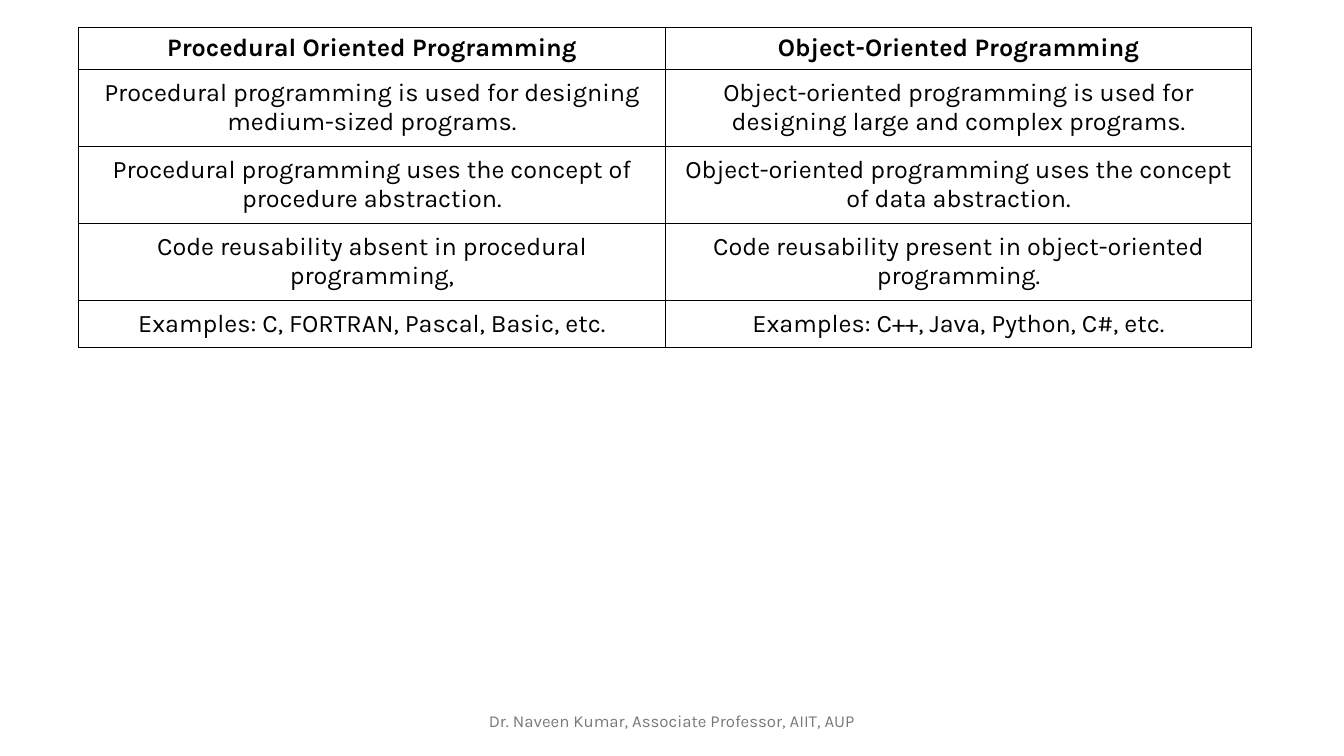
from lxml.etree import SubElement
from pptx import Presentation
from pptx.dml.color import RGBColor
from pptx.enum.text import MSO_ANCHOR, PP_ALIGN
from pptx.oxml.ns import qn
from pptx.util import Pt

ROWS = [
    ("Procedural Oriented Programming", "Object-Oriented Programming"),
    ("Procedural programming is used for designing medium-sized programs.",
     "Object-oriented programming is used for designing large and complex programs."),
    ("Procedural programming uses the concept of procedure abstraction.",
     "Object-oriented programming uses the concept of data abstraction."),
    ("Code reusability absent in procedural programming,",
     "Code reusability present in object-oriented programming."),
    ("Examples: C, FORTRAN, Pascal, Basic, etc.",
     "Examples: C++, Java, Python, C#, etc."),
]
FOOT = "Dr. Naveen Kumar, Associate Professor, AIIT, AUP"
TALL = [30, 54.7, 54.7, 54.7, 34]
WIDE = 419
BLACK, GREY, WHITE = "000000", "797979", "FFFFFF"


def tint(fill, code):
    fill.solid()
    fill.fore_color.rgb = RGBColor.from_string(code)


def write(frame, text, size, code, bold=False):
    frame.text = text
    line = frame.paragraphs[0]
    line.alignment = PP_ALIGN.CENTER
    font = line.runs[0].font
    font.name, font.size, font.bold = "Karla", Pt(size), bold
    tint(font.fill, code)


def border(cell):
    props = cell._tc.get_or_add_tcPr()
    for spot, side in enumerate(("lnL", "lnR", "lnT", "lnB")):
        edge = SubElement(props, qn("a:" + side), w=str(Pt(1)))
        paint = SubElement(edge, qn("a:solidFill"))
        SubElement(paint, qn("a:srgbClr"), val=BLACK)
        props.insert(spot, edge)


def main():
    deck = Presentation()
    deck.slide_width, deck.slide_height = Pt(960), Pt(540)
    slide = deck.slides.add_slide(deck.slide_layouts[6])
    tint(slide.background.fill, WHITE)

    table = slide.shapes.add_table(
        len(ROWS), 2, Pt(56.2), Pt(19.4), Pt(2 * WIDE), Pt(sum(TALL))).table
    for col in table.columns:
        col.width = Pt(WIDE)
    for r, (texts, tall) in enumerate(zip(ROWS, TALL)):
        table.rows[r].height = Pt(tall)
        for c, text in enumerate(texts):
            cell = table.cell(r, c)
            cell.margin_left = cell.margin_right = Pt(4.3)
            cell.margin_top = cell.margin_bottom = Pt(6.4 if r else 4.3)
            cell.vertical_anchor = MSO_ANCHOR.MIDDLE
            write(cell.text_frame, text, 18, BLACK, r == 0)
            tint(cell.fill, WHITE)
            border(cell)

    foot = slide.shapes.add_textbox(Pt(318), Pt(500.5), Pt(324), Pt(28.8))
    foot.text_frame.word_wrap = True
    foot.text_frame.vertical_anchor = MSO_ANCHOR.MIDDLE
    write(foot.text_frame, FOOT, 12, GREY)
    deck.save("out.pptx")


if __name__ == "__main__":
    main()
